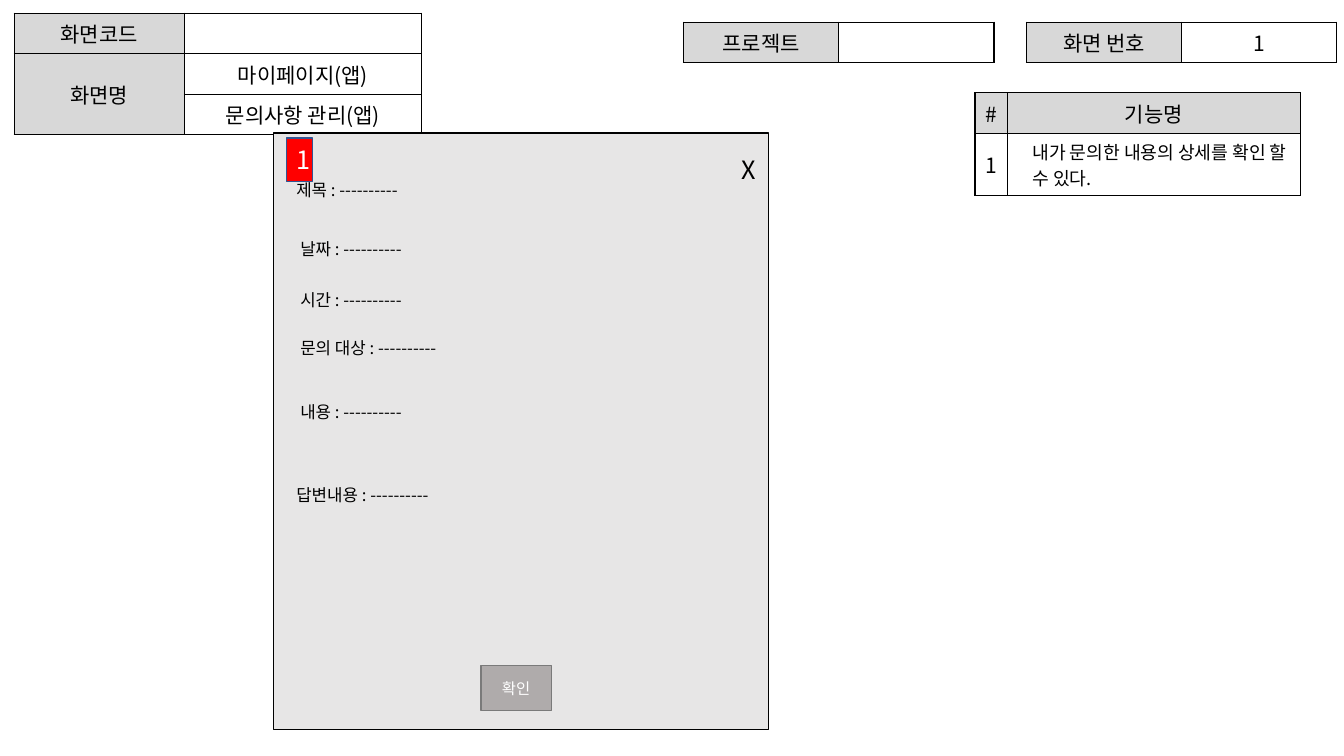
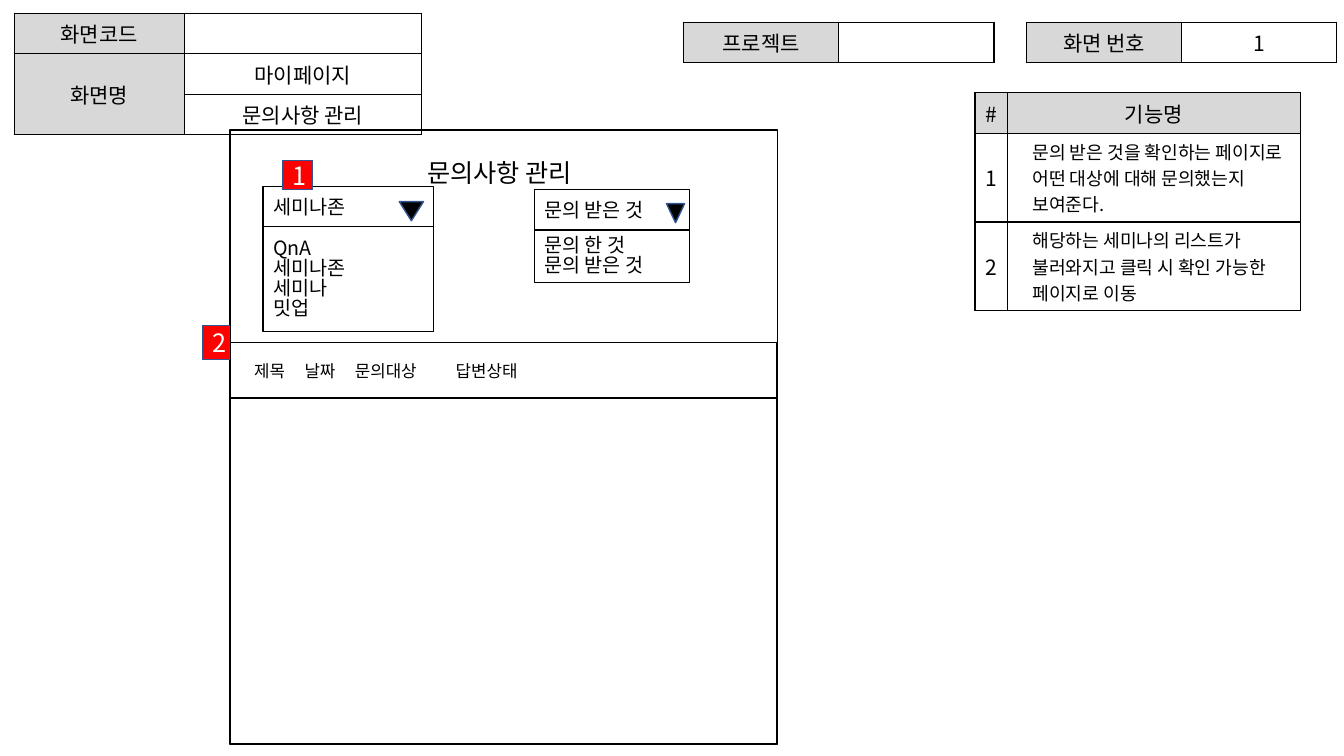
"""Build two screen-specification slides for the inquiry pages."""
from dataclasses import dataclass

import pptx
import pptx.dml.color
import pptx.enum.shapes
import pptx.enum.text
import pptx.oxml.ns
import pptx.slide
import pptx.table
import pptx.text.text
import pptx.util
from lxml import etree

Inches = pptx.util.Inches
Pt = pptx.util.Pt
qn = pptx.oxml.ns.qn
Align = pptx.enum.text.PP_ALIGN
Anchor = pptx.enum.text.MSO_ANCHOR
Preset = pptx.enum.shapes.MSO_SHAPE

FONT = "Noto Sans CJK KR"
COLORS = {
    "ink": "000000",
    "paper": "FFFFFF",
    "label": "D8D8D8",
    "panel": "E7E6E6",
    "button": "AFABAB",
    "button_line": "7A7A7A",
    "badge": "FF0000",
    "accent_line": "325491",
}
HEADER_ROW = 0.4
LINE_HEIGHT = 0.26
CELL_PADDING = 0.1


@dataclass(frozen=True)
class Area:
    left: float
    top: float
    width: float
    height: float

    def lengths(self) -> tuple:
        return tuple(Inches(value) for value in (self.left, self.top, self.width, self.height))


@dataclass(frozen=True)
class Field:
    label: str
    left: float
    top: float


@dataclass(frozen=True)
class Feature:
    text: str
    lines: int


@dataclass(frozen=True)
class Dropdown:
    selected: str
    options: str
    head: Area
    list_height: float
    arrow: Area


FIELDS = (
    Field("제목", 2.84, 1.73),
    Field("날짜", 2.88, 2.32),
    Field("시간", 2.88, 2.82),
    Field("문의 대상", 2.88, 3.3),
    Field("내용", 2.88, 3.94),
    Field("답변내용", 2.84, 4.76),
)
DROPDOWNS = (
    Dropdown("세미나존", "QnA\n세미나존\n세미나\n밋업",
             Area(2.61, 1.85, 1.69, 0.4), 1.04, Area(3.96, 2, 0.24, 0.19)),
    Dropdown("문의 받은 것", "문의 한 것\n문의 받은 것",
             Area(5.3, 1.88, 1.54, 0.4), 0.52, Area(6.61, 2.02, 0.18, 0.19)),
)
DETAIL_FEATURES = (Feature("내가 문의한 내용의 상세를 확인 할 수 있다.", 2),)
LIST_FEATURES = (
    Feature("문의 받은 것을 확인하는 페이지로 어떤 대상에 대해 문의했는지 보여준다.", 3),
    Feature("해당하는 세미나의 리스트가 불러와지고 클릭 시 확인 가능한 페이지로 이동", 3),
)


def rgb(name: str) -> pptx.dml.color.RGBColor:
    return pptx.dml.color.RGBColor.from_string(COLORS[name])


def write_text(frame: pptx.text.text.TextFrame, text: str, *, size: float, color: str = "ink",
               align: Align = Align.LEFT, anchor: Anchor = Anchor.MIDDLE,
               spacing: float = 1.0, indent: float = 0, tabs: tuple = ()) -> None:
    frame.word_wrap = True
    frame.vertical_anchor = anchor
    for index, line in enumerate(text.split("\n")):
        para = frame.paragraphs[0] if index == 0 else frame.add_paragraph()
        para.alignment = align
        para.line_spacing = spacing
        properties = para._p.get_or_add_pPr()
        properties.set("marL", str(Inches(indent)))
        properties.set("indent", "0")
        if tabs:
            stops = etree.SubElement(properties, qn("a:tabLst"))
            for position in tabs:
                etree.SubElement(stops, qn("a:tab"), pos=str(Inches(position)), algn="l")
        if not line:
            etree.SubElement(para._p, qn("a:endParaRPr"), sz=str(int(size * 100)))
            continue
        span = para.add_run()
        span.text = line
        span.font.name = FONT
        span.font.size = Pt(size)
        span.font.bold = False
        span.font.color.rgb = rgb(color)
        etree.SubElement(span._r.get_or_add_rPr(), qn("a:ea"), typeface=FONT)


def add_box(page: pptx.slide.Slide, area: Area, *, fill: str | None = None, line: str = "ink",
            preset: Preset = Preset.RECTANGLE, text: str = "", **text_format):
    box = page.shapes.add_shape(preset, *area.lengths())
    box.shadow.inherit = False
    if fill:
        box.fill.solid()
        box.fill.fore_color.rgb = rgb(fill)
    else:
        box.fill.background()
    box.line.color.rgb = rgb(line)
    box.line.width = Pt(1)
    if text:
        write_text(box.text_frame, text, **text_format)
    return box


def add_label(page: pptx.slide.Slide, area: Area, text: str, size: float) -> None:
    box = page.shapes.add_textbox(*area.lengths())
    write_text(box.text_frame, text, size=size, anchor=Anchor.TOP)


def add_badge(page: pptx.slide.Slide, number: str, area: Area) -> None:
    add_box(page, area, fill="badge", line="accent_line", text=number,
            size=18, color="paper", align=Align.CENTER)


def fill_cell(cell: pptx.table._Cell, text: str, fill: str, **text_format) -> None:
    write_text(cell.text_frame, text, **text_format)
    cell.vertical_anchor = text_format.get("anchor", Anchor.MIDDLE)
    cell.fill.solid()
    cell.fill.fore_color.rgb = rgb(fill)
    properties = cell._tc.get_or_add_tcPr()
    for index, side in enumerate(("a:lnL", "a:lnR", "a:lnT", "a:lnB")):
        border = etree.Element(qn(side), w=str(Pt(1)))
        paint = etree.SubElement(border, qn("a:solidFill"))
        etree.SubElement(paint, qn("a:srgbClr"), val=COLORS["ink"])
        properties.insert(index, border)


def add_grid(page: pptx.slide.Slide, left: float, top: float, widths: tuple, heights: tuple,
             rows: tuple, *, header_row: bool = False) -> pptx.table.Table:
    area = Area(left, top, sum(widths), sum(heights))
    grid = page.shapes.add_table(len(rows), len(widths), *area.lengths()).table
    grid.first_row = False
    grid.horz_banding = False
    for column, width in zip(grid.columns, widths):
        column.width = Inches(width)
    for row, height in zip(grid.rows, heights):
        row.height = Inches(height)
    for row_index, texts in enumerate(rows):
        for column_index, text in enumerate(texts):
            is_label = row_index == 0 if header_row else column_index == 0
            cell = grid.cell(row_index, column_index)
            if header_row and not is_label and column_index == 1:
                fill_cell(cell, text, "paper", size=13, indent=0.15, anchor=Anchor.TOP)
            else:
                fill_cell(cell, text, "label" if is_label else "paper",
                          size=15, align=Align.CENTER)
    return grid


def add_spec_tables(page: pptx.slide.Slide, section: str, screen: str,
                    features: tuple[Feature, ...]) -> None:
    names = add_grid(page, 0.14, 0.13, (1.69, 2.35), (HEADER_ROW,) * 3,
                     (("화면코드", ""), ("화면명", section), ("", screen)))
    names.cell(1, 0).merge(names.cell(2, 0))
    for left, label, value in ((10.18, "화면 번호", "1"), (6.78, "프로젝트", "")):
        add_grid(page, left, 0.22, (1.54, 1.54), (HEADER_ROW,), ((label, value),))
    heights = (HEADER_ROW, *(CELL_PADDING + LINE_HEIGHT * item.lines for item in features))
    rows = (("#", "기능명"),
            *((str(number), item.text) for number, item in enumerate(features, 1)))
    add_grid(page, 9.67, 0.92, (0.32, 2.91), heights, rows, header_row=True)


def add_dropdown(page: pptx.slide.Slide, menu: Dropdown) -> None:
    head = menu.head
    add_box(page, head, text=menu.selected, size=14)
    arrow = add_box(page, menu.arrow, fill="ink", line="accent_line",
                    preset=Preset.ISOSCELES_TRIANGLE)
    arrow.rotation = 180
    options = Area(head.left, head.top + head.height, head.width, menu.list_height)
    add_box(page, options, text=menu.options, size=14, spacing=0.85)


def build_detail_page(deck) -> None:
    page = deck.slides.add_slide(deck.slide_layouts[6])
    add_spec_tables(page, "마이페이지(앱)", "문의사항 관리(앱)", DETAIL_FEATURES)
    add_box(page, Area(2.71, 1.32, 4.91, 5.92), fill="panel")
    for field in FIELDS:
        add_label(page, Area(field.left, field.top, 2.32, 0.41), f"{field.label} : ----------", 12)
    add_box(page, Area(4.77, 6.6, 0.7, 0.45), fill="button", line="button_line",
            text="확인", size=11, color="paper", align=Align.CENTER)
    add_label(page, Area(7.26, 1.48, 0.26, 0.54), "X", 18)
    add_badge(page, "1", Area(2.84, 1.37, 0.26, 0.43))


def build_list_page(deck) -> None:
    page = deck.slides.add_slide(deck.slide_layouts[5])
    add_spec_tables(page, "마이페이지", "문의사항 관리", LIST_FEATURES)
    add_box(page, Area(2.28, 1.29, 5.43, 6.09))
    title = page.shapes.title
    title.left, title.top, title.width, title.height = Area(3.65, 1.51, 2.61, 0.4).lengths()
    title.text_frame.auto_size = pptx.enum.text.MSO_AUTO_SIZE.NONE
    write_text(title.text_frame, "문의사항 관리", size=18, align=Align.CENTER)
    for menu in DROPDOWNS:
        add_dropdown(page, menu)
    add_badge(page, "1", Area(2.8, 1.59, 0.3, 0.29))
    add_box(page, Area(2.28, 3.4, 5.42, 3.98))
    columns = add_box(page, Area(2.28, 3.4, 5.42, 0.55), size=12, tabs=(0.96, 2.05, 3.37),
                      text="제목\t날짜\t문의대상\t답변상태")
    columns.text_frame.margin_left = Inches(0.24)
    add_badge(page, "2", Area(2.01, 3.23, 0.27, 0.34))


def main() -> None:
    deck = pptx.Presentation()
    deck.slide_width = Inches(13.33)
    deck.slide_height = Inches(7.5)
    build_detail_page(deck)
    build_list_page(deck)
    deck.save("out.pptx")


if __name__ == "__main__":
    main()
